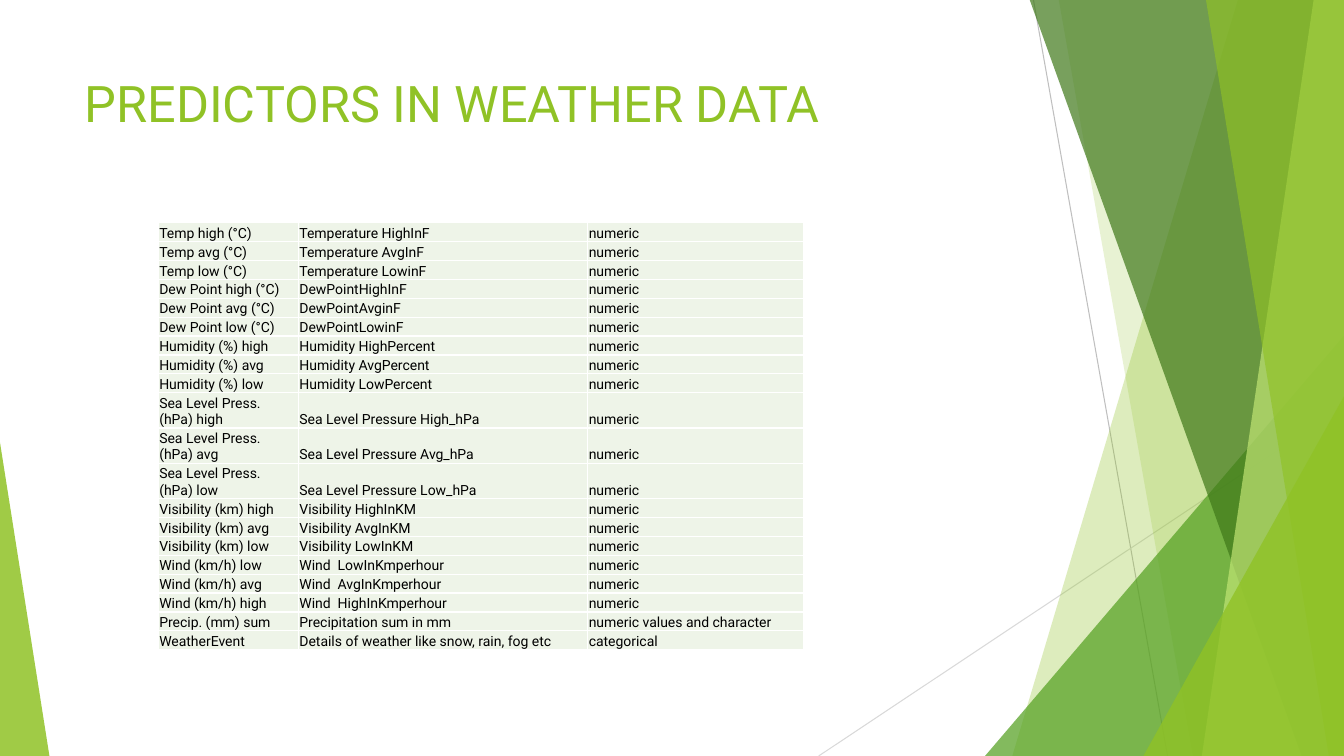
from dataclasses import dataclass

from lxml import etree
from pptx import Presentation
from pptx import util as u
from pptx.dml.color import RGBColor
from pptx.enum import shapes, text
from pptx.oxml.ns import qn

PX = 9144  # EMU per px, 100 px to the inch
FONT = "Roboto"
GREEN = "90C226"
WHITE = "FFFFFF"
CELL_FILL = "EEF4E8"
COLUMN_WIDTHS = (139, 287, 214)
TABLE_HEIGHT = 424
TALL_ROW = 35


@dataclass
class Ray:
    start: tuple[int, int]
    end: tuple[int, int]
    color: str


@dataclass
class Facet:
    points: list[tuple[int, int]]
    color: str
    opacity: int


@dataclass
class Corner:
    left: int
    top: int
    width: int
    height: int
    apex: int
    color: str
    opacity: int


@dataclass
class Predictor:
    label: str
    field: str
    kind: str = "numeric"
    lines: int = 1


def facet(top_left: int, bottom_left: int, color: str, opacity: int) -> Facet:
    """A band that reaches the right edge of the page."""
    points = [(top_left, -1), (1333, -1), (1333, 750), (bottom_left, 750)]
    return Facet(points, color, opacity)


DECORATION = [
    Ray((1025, 0), (1158, 750), "BFBFBF"),
    Ray((1333, 403), (812, 750), "D9D9D9"),
    facet(1228, 1004, GREEN, 30),
    facet(1050, 1183, GREEN, 20),
    Corner(977, 333, 356, 417, 1, "54A021", 72),
    facet(1021, 1291, "3F7819", 70),
    facet(1303, 1192, "C0E474", 70),
    facet(1196, 1318, GREEN, 65),
    Corner(1134, 393, 199, 357, 1, GREEN, 80),
    Corner(0, 439, 49, 311, 0, GREEN, 85),
]

PREDICTORS = [
    Predictor("Temp high (°C)", "Temperature HighInF"),
    Predictor("Temp avg (°C)", "Temperature AvgInF"),
    Predictor("Temp low (°C)", "Temperature LowinF"),
    Predictor("Dew Point high (°C)", "DewPointHighInF"),
    Predictor("Dew Point avg (°C)", "DewPointAvginF"),
    Predictor("Dew Point low (°C)", "DewPointLowinF"),
    Predictor("Humidity (%) high", "Humidity HighPercent"),
    Predictor("Humidity (%) avg", "Humidity AvgPercent"),
    Predictor("Humidity (%) low", "Humidity LowPercent"),
    Predictor("Sea Level Press. (hPa) high", "Sea Level Pressure High_hPa", lines=2),
    Predictor("Sea Level Press. (hPa) avg", "Sea Level Pressure Avg_hPa", lines=2),
    Predictor("Sea Level Press. (hPa) low", "Sea Level Pressure Low_hPa", lines=2),
    Predictor("Visibility (km) high", "Visibility HighInKM"),
    Predictor("Visibility (km) avg", "Visibility AvgInKM"),
    Predictor("Visibility (km) low", "Visibility LowInKM"),
    Predictor("Wind (km/h) low", "Wind  LowInKmperhour"),
    Predictor("Wind (km/h) avg", "Wind  AvgInKmperhour"),
    Predictor("Wind (km/h) high", "Wind  HighInKmperhour"),
    Predictor("Precip. (mm) sum", "Precipitation sum in mm", "numeric values and character"),
    Predictor("WeatherEvent", "Details of weather like snow, rain, fog etc", "categorical"),
]


def px(value: int) -> int:
    return u.Emu(value * PX)


def rgb(color: str) -> RGBColor:
    return RGBColor.from_string(color)


def format_text(frame, size: int, color: str) -> None:
    for para in frame.paragraphs:
        for span in para.runs:
            span.font.name = FONT
            span.font.size = u.Pt(size)
            span.font.color.rgb = rgb(color)


def paint(shape, color: str, opacity: int) -> None:
    shape.shadow.inherit = False
    shape.line.fill.background()
    shape.fill.solid()
    shape.fill.fore_color.rgb = rgb(color)
    tint = shape.fill._xPr.find(qn("a:solidFill"))[0]
    etree.SubElement(tint, qn("a:alpha")).set("val", str(opacity * 1000))


def draw_ray(page, ray: Ray) -> None:
    line = page.shapes.add_connector(
        shapes.MSO_CONNECTOR.STRAIGHT, *map(px, ray.start + ray.end))
    line.line.color.rgb = rgb(ray.color)
    line.line.width = u.Pt(0.75)
    etree.SubElement(line._element.spPr, qn("a:effectLst"))


def draw_facet(page, band: Facet) -> None:
    builder = page.shapes.build_freeform(*band.points[0], scale=PX)
    builder.add_line_segments(band.points[1:], close=True)
    paint(builder.convert_to_shape(), band.color, band.opacity)


def draw_corner(page, corner: Corner) -> None:
    box = (corner.left, corner.top, corner.width, corner.height)
    triangle = page.shapes.add_shape(
        shapes.MSO_SHAPE.ISOSCELES_TRIANGLE, *map(px, box))
    triangle.adjustments[0] = corner.apex
    paint(triangle, corner.color, corner.opacity)


def add_borders(cell) -> None:
    properties = cell._tc.get_or_add_tcPr()
    for side in ("lnL", "lnR", "lnT", "lnB"):
        border = etree.SubElement(properties, qn(f"a:{side}"), w=str(u.Pt(1)))
        fill = etree.SubElement(border, qn("a:solidFill"))
        etree.SubElement(fill, qn("a:srgbClr"), val=WHITE)


def fill_cell(cell, words: str) -> None:
    add_borders(cell)
    cell.fill.solid()
    cell.fill.fore_color.rgb = rgb(CELL_FILL)
    cell.margin_left = cell.margin_right = cell.margin_top = px(1)
    cell.margin_bottom = 0
    cell.vertical_anchor = text.MSO_ANCHOR.BOTTOM
    cell.text_frame.text = words
    format_text(cell.text_frame, 10, "000000")


def draw_table(page, predictors: list[Predictor]) -> None:
    table = page.shapes.add_table(
        len(predictors), len(COLUMN_WIDTHS), px(157), px(221),
        px(sum(COLUMN_WIDTHS)), px(TABLE_HEIGHT)).table
    table.first_row = table.horz_banding = False
    for column, width in zip(table.columns, COLUMN_WIDTHS):
        column.width = px(width)

    # Single-line rows share the height left by the tall ones
    tall = sum(predictor.lines > 1 for predictor in predictors)
    short_height = px(TABLE_HEIGHT - tall * TALL_ROW) // (len(predictors) - tall)
    for row, predictor in zip(table.rows, predictors):
        row.height = px(TALL_ROW) if predictor.lines > 1 else short_height
        words = (predictor.label, predictor.field, predictor.kind)
        for cell, word in zip(row.cells, words):
            fill_cell(cell, word)


def main() -> None:
    deck = Presentation()
    deck.slide_width, deck.slide_height = px(1333), px(750)
    page = deck.slides.add_slide(deck.slide_layouts[5])

    # Green decoration at the page edges
    painters = {Ray: draw_ray, Facet: draw_facet, Corner: draw_corner}
    for part in DECORATION:
        painters[type(part)](page, part)

    # Title
    title = page.shapes.title
    title.left, title.top, title.width, title.height = map(px, (74, 67, 940, 144))
    title.text_frame.text = "PREDICTORS IN WEATHER DATA"
    title.text_frame.vertical_anchor = text.MSO_ANCHOR.TOP
    title.text_frame.paragraphs[0].alignment = text.PP_ALIGN.LEFT
    format_text(title.text_frame, 36, GREEN)

    # Predictor table
    draw_table(page, PREDICTORS)
    deck.save("out.pptx")


if __name__ == "__main__":
    main()
